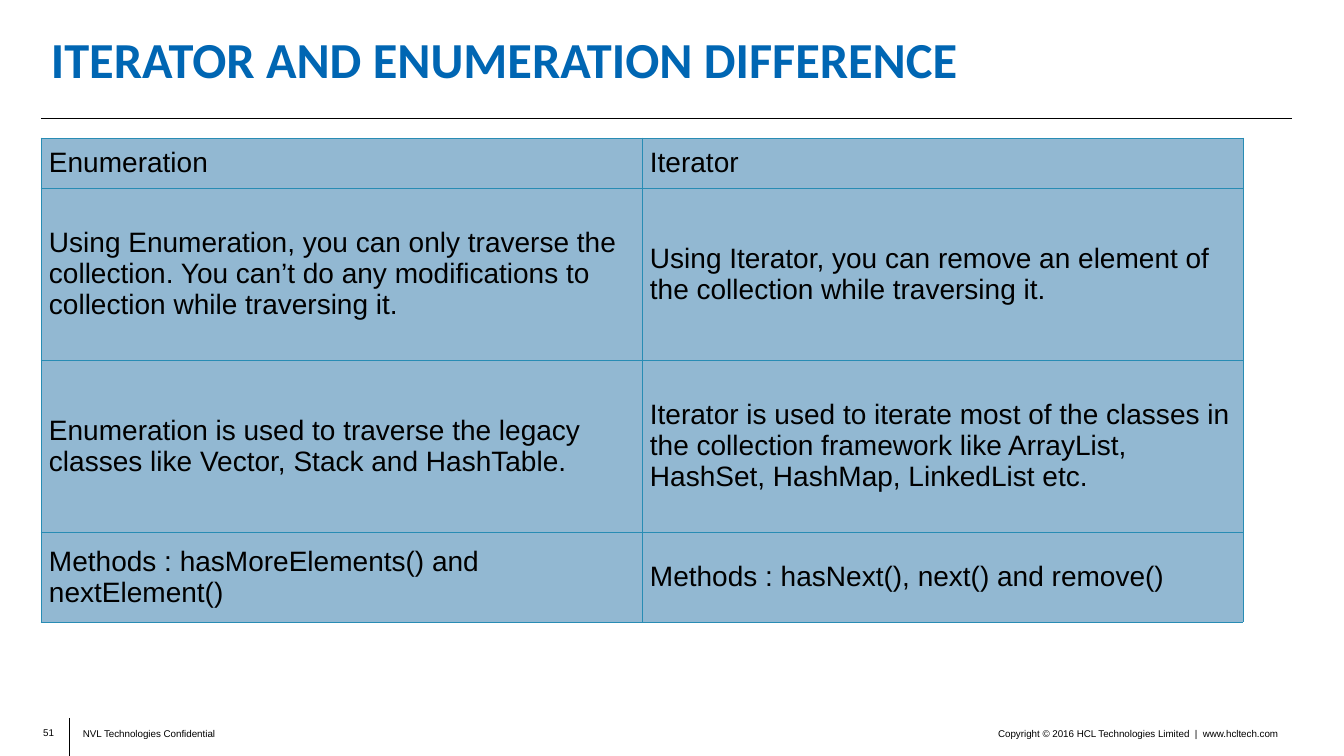
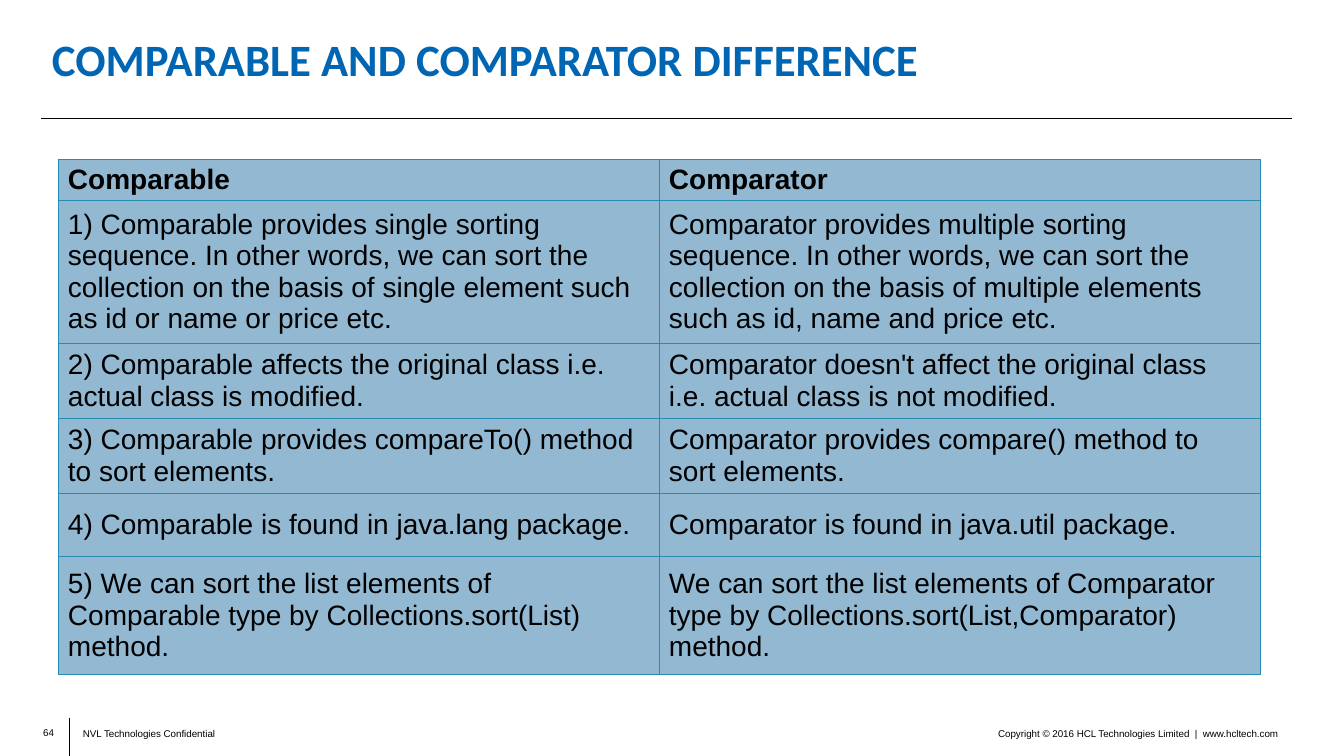
from lxml import etree
from pptx import Presentation
from pptx import util as u
from pptx.dml.color import RGBColor
from pptx.enum import shapes, text
from pptx.oxml.ns import qn

COLORS = {"title": "0066B3", "ink": "000000", "cell": "92B8D2", "border": "288CB4"}
EMU_PER_PX = 914400 / 100.8
SLIDE_SIZE = (1344, 756)
COLUMN_WIDTH = 601
HAIRLINE = u.Pt(0.5)

RULES = [((69, 718), (69, 756)), ((41, 118), (1292, 118))]
FOOTERS = [
    ("NVL Technologies Confidential", (73, 723, 321, 19), "LEFT"),
    ("Copyright © 2016 HCL Technologies Limited  |  www.hcltech.com",
     (783, 723, 505, 19), "RIGHT"),
]
NUMBER_BOX = (41, 727, 13, 11)
FOOTER_FONT = {"name": "Arial", "size": u.Pt(7)}
TITLE_FONT = {"name": "Calibri", "bold": True}
CELL_FONT = {"name": "Arial", "size": u.Pt(20)}

SLIDES = [
    {
        "number": "51",
        "title": "ITERATOR AND ENUMERATION DIFFERENCE",
        "title_box": (41, 28, 1155, 68),
        "title_size": 36,
        "table_at": (41, 138),
        "row_heights": [50, 172, 172, 90],
        "side_margin": 8,
        "bold_header": False,
        "rows": [
            ("Enumeration", "Iterator"),
            ("Using Enumeration, you can only traverse the collection. "
             "You can’t do any modifications to collection while traversing it.",
             "Using Iterator, you can remove an element of the collection "
             "while traversing it."),
            ("Enumeration is used to traverse the legacy classes like Vector, "
             "Stack and HashTable.",
             "Iterator is used to iterate most of the classes in the collection "
             "framework like ArrayList, HashSet, HashMap, LinkedList etc."),
            ("Methods : hasMoreElements() and nextElement()",
             "Methods : hasNext(), next() and remove()"),
        ],
    },
    {
        "number": "64",
        "title": "COMPARABLE AND COMPARATOR DIFFERENCE",
        "title_box": (42, 28, 957, 68),
        "title_size": 32,
        "table_at": (58, 159),
        "row_heights": [41, 134, 71, 72, 63, 118],
        "side_margin": 10,
        "bold_header": True,
        "rows": [
            ("Comparable", "Comparator"),
            ("1) Comparable provides single sorting sequence. In other words, we can "
             "sort the collection on the basis of single element such as id or name "
             "or price etc.",
             "Comparator provides multiple sorting sequence. In other words, we can "
             "sort the collection on the basis of multiple elements such as id, name "
             "and price etc."),
            ("2) Comparable affects the original class i.e. actual class is modified.",
             "Comparator doesn't affect the original class i.e. actual class is not "
             "modified."),
            ("3) Comparable provides compareTo() method to sort elements.",
             "Comparator provides compare() method to sort elements."),
            ("4) Comparable is found in java.lang package.",
             "Comparator is found in java.util package."),
            ("5) We can sort the list elements of Comparable type by "
             "Collections.sort(List) method.",
             "We can sort the list elements of Comparator type by "
             "Collections.sort(List,Comparator) method."),
        ],
    },
]


def px(length):
    return u.Emu(round(length * EMU_PER_PX))


def rgb(name):
    return RGBColor.from_string(COLORS[name])


def set_attributes(target, values):
    for name, value in values.items():
        setattr(target, name, value)


def write(paragraph, words, font, color="ink"):
    paragraph.text = words
    set_attributes(paragraph.font, font)
    paragraph.font.color.rgb = rgb(color)


def add_text(slide, words, box, font, color="ink", align="LEFT", **frame_format):
    frame = slide.shapes.add_textbox(*map(px, box)).text_frame
    set_attributes(frame, {"word_wrap": True, **frame_format})
    paragraph = frame.paragraphs[0]
    write(paragraph, words, font, color)
    paragraph.alignment = text.PP_ALIGN[align]
    return paragraph


def add_rule(slide, start, end):
    rule = slide.shapes.add_connector(
        shapes.MSO_CONNECTOR.STRAIGHT, *map(px, start + end))
    rule.line.color.rgb = rgb("ink")
    rule.line.width = HAIRLINE
    etree.SubElement(rule.element.spPr, qn("a:effectLst"))


def add_frame(slide, number):
    """Draw the rules, footers and page number that every slide has."""
    for start, end in RULES:
        add_rule(slide, start, end)
    for words, box, align in FOOTERS:
        add_text(slide, words, box, FOOTER_FONT, align=align)
    add_text(slide, number, NUMBER_BOX, FOOTER_FONT, align="RIGHT", word_wrap=False,
             vertical_anchor=text.MSO_ANCHOR.MIDDLE,
             margin_left=0, margin_right=0, margin_top=0, margin_bottom=0)


def add_title(slide, content):
    font = {**TITLE_FONT, "size": u.Pt(content["title_size"])}
    title = add_text(slide, content["title"], content["title_box"], font, "title",
                     vertical_anchor=text.MSO_ANCHOR.MIDDLE)
    title.line_spacing = 0.9


def add_borders(cell):
    properties = cell._tc.get_or_add_tcPr()
    for side in ("lnL", "lnR", "lnT", "lnB"):
        border = etree.SubElement(properties, qn(f"a:{side}"), w=str(HAIRLINE))
        fill = etree.SubElement(border, qn("a:solidFill"))
        etree.SubElement(fill, qn("a:srgbClr"), val=COLORS["border"])


def add_comparison(slide, content):
    rows, heights = content["rows"], content["row_heights"]
    column_count = len(rows[0])
    table = slide.shapes.add_table(
        len(rows), column_count, *map(px, content["table_at"]),
        px(COLUMN_WIDTH * column_count), px(sum(heights))).table
    set_attributes(table, {"first_row": False, "horz_banding": False})
    for column in table.columns:
        column.width = px(COLUMN_WIDTH)
    margins = {"margin_left": px(content["side_margin"]),
               "margin_right": px(content["side_margin"]),
               "margin_top": px(4), "margin_bottom": px(4)}
    for r, (row, height) in enumerate(zip(rows, heights)):
        table.rows[r].height = px(height)
        font = {**CELL_FONT, "bold": r == 0 and content["bold_header"]}
        for c, words in enumerate(row):
            cell = table.cell(r, c)
            set_attributes(cell, {
                **margins, "vertical_anchor": text.MSO_ANCHOR.MIDDLE})
            add_borders(cell)
            cell.fill.solid()
            cell.fill.fore_color.rgb = rgb("cell")
            write(cell.text_frame.paragraphs[0], words, font)


def main():
    deck = Presentation()
    deck.slide_width, deck.slide_height = map(px, SLIDE_SIZE)
    for content in SLIDES:
        slide = deck.slides.add_slide(deck.slide_layouts[6])
        add_frame(slide, content["number"])
        add_title(slide, content)
        add_comparison(slide, content)
    deck.save("out.pptx")


if __name__ == "__main__":
    main()
